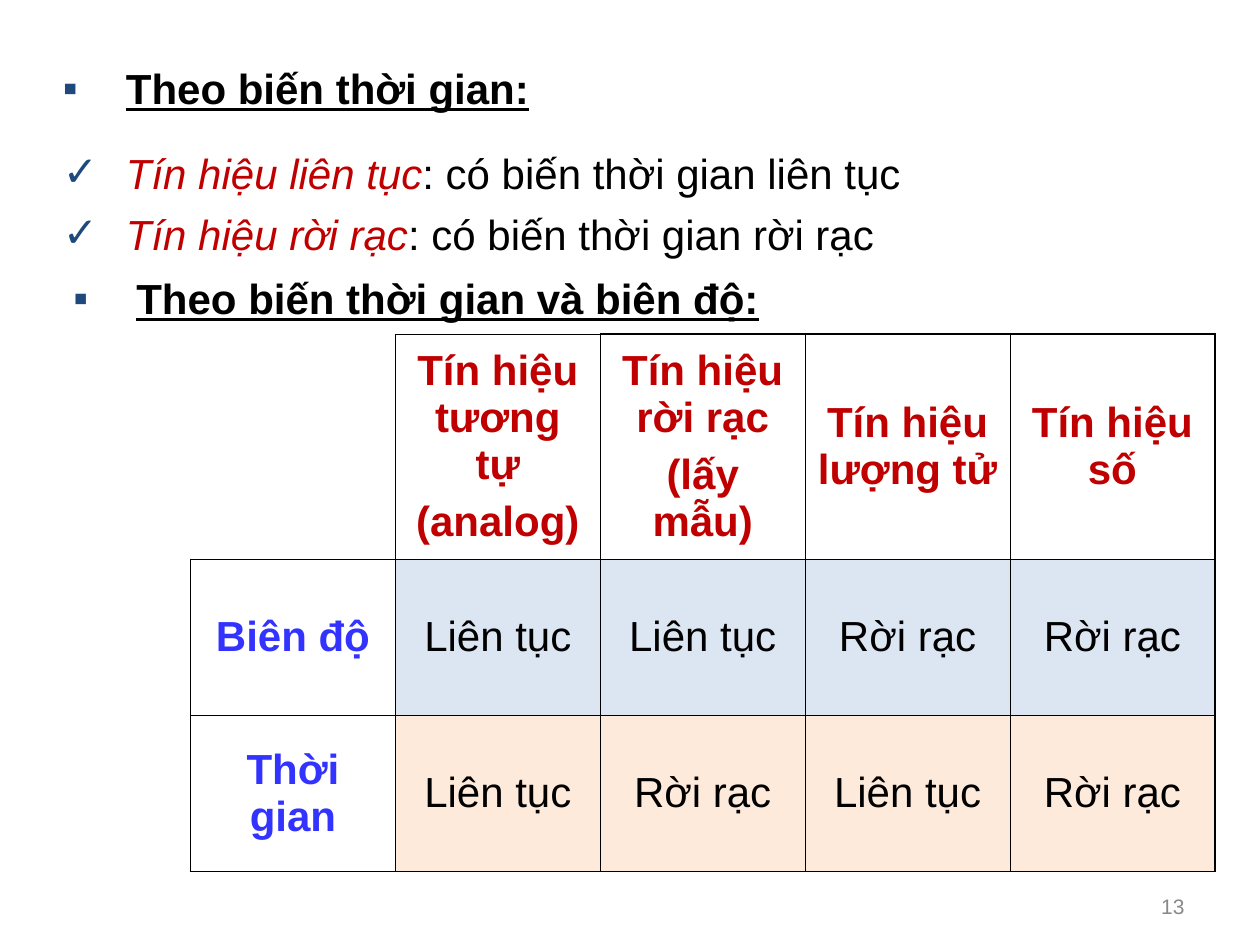
from lxml.etree import SubElement
from pptx import Presentation
from pptx.dml.color import RGBColor
from pptx.enum.text import MSO_ANCHOR as Anchor, PP_ALIGN as Align
from pptx.oxml import parse_xml
from pptx.oxml.ns import nsdecls, qn
from pptx.util import Cm, Pt

BLACK = RGBColor(0x00, 0x00, 0x00)
WHITE = RGBColor(0xFF, 0xFF, 0xFF)
RED = RGBColor(0xC0, 0x00, 0x00)
BLUE = RGBColor(0x33, 0x33, 0xFF)
NAVY = RGBColor(0x1F, 0x49, 0x7D)
GRAY = RGBColor(0x89, 0x89, 0x89)
PALE_BLUE = RGBColor(0xDC, 0xE6, 0xF2)
PALE_ORANGE = RGBColor(0xFD, 0xEA, 0xDA)

THIN, THICK = 0.45, 1.08
SQUARE, CHECK = "▪", "✓"


class SlideBuilder:
    font = "Arial"
    size = 24
    gap = Pt(6)
    indent = Cm(1.27)

    def __init__(self, slide):
        self.slide = slide

    def style(self, run, color, size=None, **flags):
        run.font.name = self.font
        run.font.size = Pt(size or self.size)
        run.font.color.rgb = color
        for flag, value in flags.items():
            setattr(run.font, flag, value)

    def text_frame(self, left, top, width, height):
        box = self.slide.shapes.add_textbox(Cm(left), Cm(top), Cm(width), Cm(height))
        box.text_frame.word_wrap = True
        return box.text_frame

    def bullet(self, paragraph, char):
        props = paragraph._p.get_or_add_pPr()
        props.set("marL", str(self.indent))
        props.set("indent", str(-self.indent))
        color = SubElement(props, qn("a:buClr"))
        SubElement(color, qn("a:srgbClr"), val=str(NAVY))
        SubElement(props, qn("a:buFont"), typeface=self.font)
        SubElement(props, qn("a:buChar"), char=char)

    def bullet_list(self, left, top, width, height, char, items):
        """Each item is a list of (text, colour, font flags)."""
        frame = self.text_frame(left, top, width, height)
        frame.margin_left = frame.margin_right = 0
        frame.margin_top = frame.margin_bottom = 0
        for index, parts in enumerate(items):
            paragraph = frame.add_paragraph() if index else frame.paragraphs[0]
            self.bullet(paragraph, char)
            if index:
                paragraph.space_before = self.gap
            for text, color, flags in parts:
                run = paragraph.add_run()
                run.text = text
                self.style(run, color, **flags)

    def heading(self, left, top, width, text):
        flags = {"bold": True, "underline": True}
        self.bullet_list(left, top, width, 1.07, SQUARE, [[(text, BLACK, flags)]])

    def page_number(self, left, top, width, height, number):
        frame = self.text_frame(left, top, width, height)
        frame.vertical_anchor = Anchor.MIDDLE
        frame.text = number
        paragraph = frame.paragraphs[0]
        paragraph.alignment = Align.RIGHT
        paragraph.line_spacing = 1.4
        self.style(paragraph.runs[0], GRAY, 12)

    def borders(self, cell, widths):
        """Widths in points for left, right, top and bottom; 0 hides a side."""
        props = cell._tc.get_or_add_tcPr()
        for index, (side, width) in enumerate(zip("LRTB", widths)):
            paint = (f'<a:solidFill><a:srgbClr val="{BLACK}"/></a:solidFill>'
                     if width else "<a:noFill/>")
            props.insert(index, parse_xml(
                f'<a:ln{side} {nsdecls("a")} w="{Pt(width)}">{paint}</a:ln{side}>'))

    def cell(self, cell, text, color, bold, fill):
        cell.vertical_anchor = Anchor.MIDDLE
        cell.margin_left = cell.margin_right = Cm(0.25)
        cell.margin_top = cell.margin_bottom = Cm(0.13)
        if fill is None:
            cell.fill.background()
        else:
            cell.fill.solid()
            cell.fill.fore_color.rgb = fill
        cell.text_frame.text = text
        for index, paragraph in enumerate(cell.text_frame.paragraphs):
            paragraph.alignment = Align.CENTER
            if index:
                paragraph.space_before = self.gap
            for run in paragraph.runs:
                self.style(run, color, bold=bold)

    def signal_table(self, left, top, column_width, row_heights, rows, fills):
        last_row, last_col = len(rows) - 1, len(rows[0]) - 1
        table = self.slide.shapes.add_table(
            last_row + 1, last_col + 1, Cm(left), Cm(top),
            Cm(column_width * (last_col + 1)), Cm(sum(row_heights))).table
        table.first_row = table.horz_banding = False
        for column in table.columns:
            column.width = Cm(column_width)
        for r, (height, texts, fill) in enumerate(zip(row_heights, rows, fills)):
            table.rows[r].height = Cm(height)
            for c, text in enumerate(texts):
                header = r == 0 or c == 0
                color = RED if r == 0 else BLUE if c == 0 else BLACK
                cell_fill = WHITE if r and c == 0 else fill
                cell = table.cell(r, c)
                self.cell(cell, text, color, header, cell_fill)
                corner = r == 0 and c == 0
                self.borders(cell, (
                    0 if corner else THICK if c == 0 and r > 1 else THIN,
                    THICK if c == last_col else THIN,
                    0 if corner else THICK if r == 0 and c > 1 else THIN,
                    THICK if r == last_row else THIN))


def main():
    deck = Presentation()
    deck.slide_width, deck.slide_height = Cm(25.4), Cm(19.05)
    builder = SlideBuilder(deck.slides.add_slide(deck.slide_layouts[6]))

    builder.heading(1.27, 1.27, 10.59, "Theo biến thời gian:")
    definitions = [
        ("Tín hiệu liên tục", ": có biến thời gian liên tục"),
        ("Tín hiệu rời rạc", ": có biến thời gian rời rạc"),
    ]
    builder.bullet_list(1.27, 2.97, 17.35, 2.34, CHECK, [
        [(term, RED, {"italic": True}), (meaning, BLACK, {})]
        for term, meaning in definitions])
    builder.heading(1.48, 5.5, 16.71, "Theo biến thời gian và biên độ:")

    continuous, discrete = "Liên tục", "Rời rạc"
    builder.signal_table(
        3.84, 6.73, 4.13, [4.52, 3.15, 3.15],
        [["", "Tín hiệu tương tự\n(analog)", "Tín hiệu rời rạc\n(lấy mẫu)",
          "Tín hiệu lượng tử", "Tín hiệu số"],
         ["Biên độ", continuous, continuous, discrete, discrete],
         ["Thời gian", continuous, discrete, continuous, discrete]],
        [None, PALE_BLUE, PALE_ORANGE])
    builder.page_number(18.21, 17.65, 5.92, 1.02, "13")

    deck.save("out.pptx")


if __name__ == "__main__":
    main()
